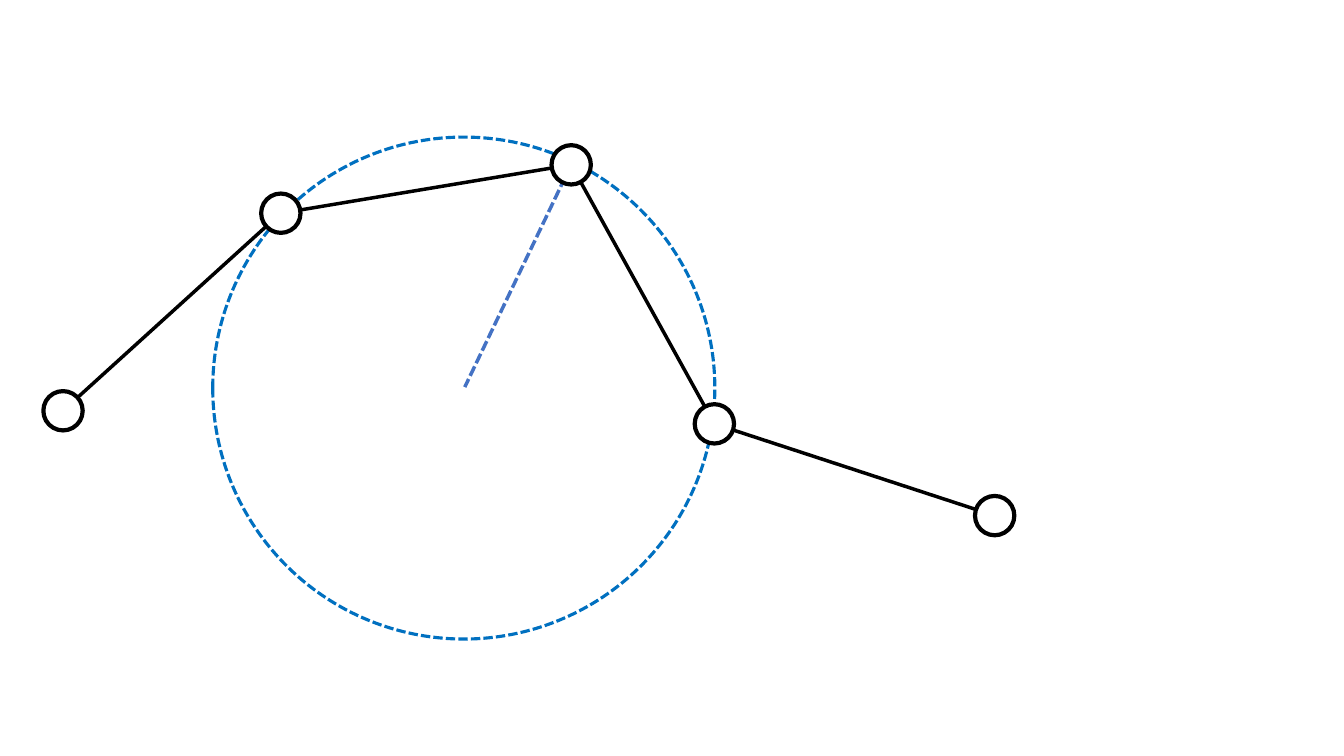
from itertools import pairwise
from lxml.etree import SubElement
from pptx import Presentation
from pptx.dml.color import RGBColor
from pptx.enum.dml import MSO_LINE
from pptx.enum.shapes import MSO_CONNECTOR, MSO_SHAPE
from pptx.oxml.ns import qn
from pptx.util import Inches, Pt

BLACK = RGBColor(0, 0, 0)
WHITE = RGBColor(255, 255, 255)
BLUE = RGBColor(0x00, 0x70, 0xC0)
INDIGO = RGBColor(0x44, 0x72, 0xC4)

COLS, ROWS = 133.3, 75
NODES = [(6.25, 40.75), (27.85, 21.15), (56.65, 16.35), (70.85, 42.05), (98.65, 51.15)]
CENTRE = (46.1, 38.4)
RING = (46, 38.5)


class Sketch:
    def __init__(self, deck):
        self.col = deck.slide_width / COLS
        self.row = deck.slide_height / ROWS
        slide = deck.slides.add_slide(deck.slide_layouts[6])
        self.shapes = slide.shapes.add_group_shape().shapes

    def spot(self, x, y):
        return round(x * self.col), round(y * self.row)

    def style(self, line, color, width, dash):
        line.color.rgb = color
        line.width = Pt(width)
        if dash:
            line.dash_style = MSO_LINE.SQUARE_DOT

    def link(self, start, end, color=BLACK, dash=False):
        wire = self.shapes.add_connector(
            MSO_CONNECTOR.STRAIGHT, *self.spot(*start), *self.spot(*end))
        self.style(wire.line, color, 2.5, dash)
        SubElement(wire._element.spPr, qn("a:effectLst"))

    def disc(self, centre, size, color, width, fill=None, dash=False):
        x, y = centre
        disc = self.shapes.add_shape(
            MSO_SHAPE.OVAL, *self.spot(x - size / 2, y - size / 2), *self.spot(size, size))
        disc.shadow.inherit = False
        if fill is None:
            disc.fill.background()
        else:
            disc.fill.solid()
            disc.fill.fore_color.rgb = fill
        self.style(disc.line, color, width, dash)


def main():
    deck = Presentation()
    deck.slide_width, deck.slide_height = Inches(13.33), Inches(7.5)
    sketch = Sketch(deck)
    sketch.link(NODES[2], CENTRE, INDIGO, dash=True)
    for start, end in pairwise(NODES):
        sketch.link(start, end)
    sketch.disc(RING, 49.8, BLUE, 2.25, dash=True)
    for node in NODES:
        sketch.disc(node, 3.9, BLACK, 3, WHITE)
    deck.save("out.pptx")


if __name__ == "__main__":
    main()
